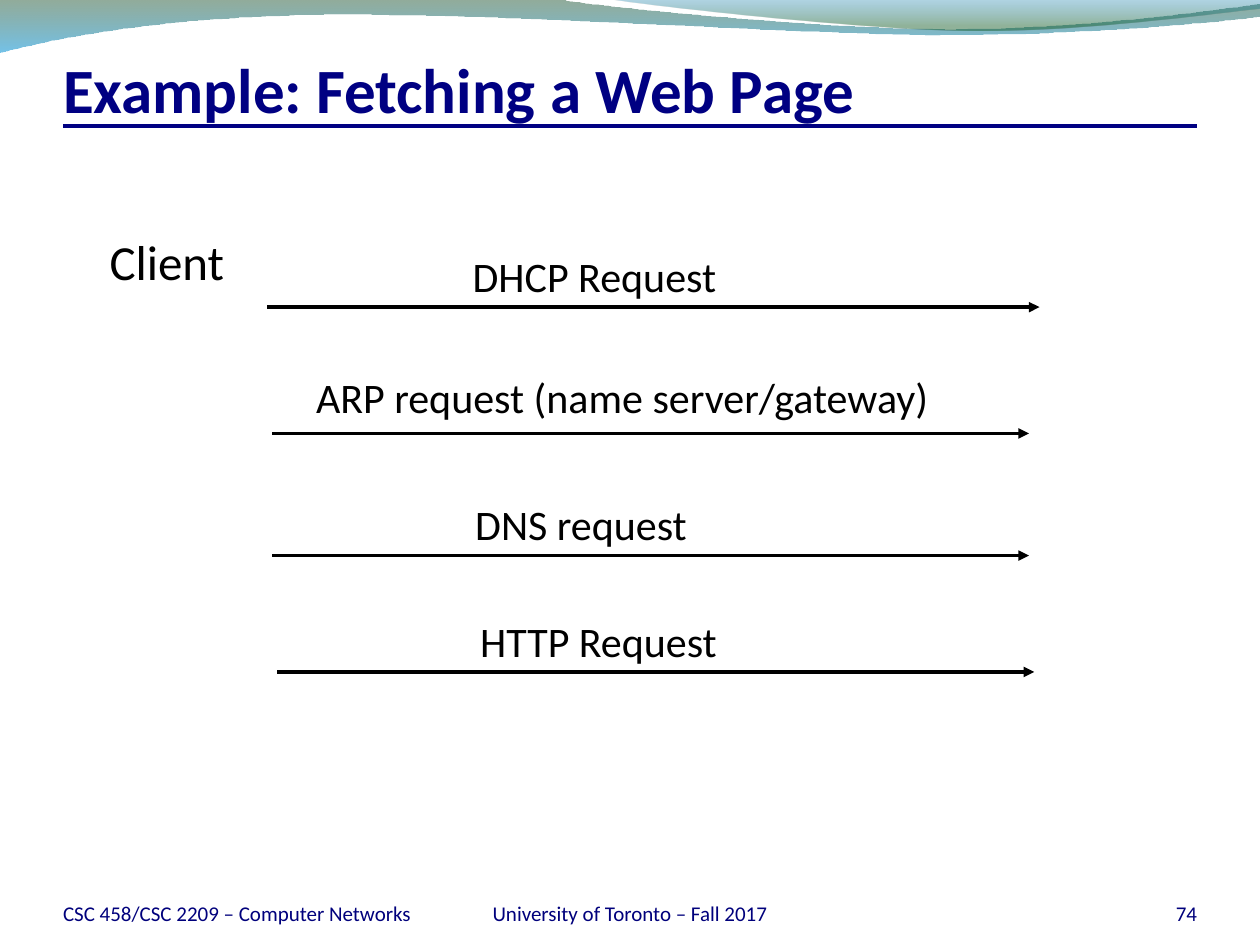
from lxml import etree
from pptx import Presentation
from pptx.dml.color import RGBColor
from pptx.enum.shapes import MSO_CONNECTOR
from pptx.enum.text import MSO_ANCHOR, PP_ALIGN
from pptx.oxml import parse_xml
from pptx.oxml.ns import nsdecls, qn
from pptx.util import Pt

LEFT, CENTER, RIGHT = PP_ALIGN.LEFT, PP_ALIGN.CENTER, PP_ALIGN.RIGHT
BOTTOM, TOP = MSO_ANCHOR.BOTTOM, MSO_ANCHOR.TOP
STRAIGHT = MSO_CONNECTOR.STRAIGHT
NAVY, FOOTER_BLUE, BLACK = "000082", "00007C", "000000"


def write(box, text, size, color, align=LEFT, anchor=TOP, bold=False):
    """Fill a text shape with one formatted run."""
    frame = box.text_frame
    frame.vertical_anchor = anchor
    para = frame.paragraphs[0]
    para.alignment = align
    span = para.add_run()
    span.text = text
    span.font.name = "Calibri"
    span.font.size = Pt(size)
    span.font.bold = bold
    span.font.color.rgb = RGBColor.from_string(color)
    return frame


def draw_line(x1, x2, y, color, width):
    """Draw a horizontal line without a shadow."""
    line = page.shapes.add_connector(STRAIGHT, Pt(x1), Pt(y), Pt(x2), Pt(y))
    line.line.color.rgb = RGBColor.from_string(color)
    line.line.width = Pt(width)
    etree.SubElement(line._element.spPr, qn("a:effectLst"))
    return line


deck = Presentation()
deck.slide_width, deck.slide_height = Pt(720), Pt(540)
page = deck.slides.add_slide(deck.slide_layouts[5])

# Header waves: a step of one point is straight, one of three a cubic curve.
# Gradient stops are position, colour and opacity in percent.
waves = [
    ((0, -0.7),
     [[(317, -0.7)],
      [(343, 4.3), (478, 16.6), (546, 16.6)],
      [(614, 16.6), (690, 6.5), (720, 2.2)],
      [(720.7, 9.4)],
      [(708, 11.5), (626, 20.2), (537, 20.2)],
      [(448, 19.4), (275, 7.2), (185, 8.6)],
      [(93, 9.4), (33, 21.6), (-0.7, 30.2)]],
     [(0, "0F461E", 45), (100, "0090D6", 55)]),
    ((345, -0.7),
     [[(366, 2.9), (491, 16.6), (554, 17.3)],
      [(616, 18), (692, 7.9), (720, 5)],
      [(720, -0.7)]],
     [(0, "0076AF", 30), (80, "0D5821", 45)]),
]
for (start_x, start_y), steps, stops in waves:
    outline = page.shapes.build_freeform(Pt(start_x), Pt(start_y))
    outline.add_line_segments([(Pt(x), Pt(y)) for step in steps for x, y in step])
    wave = outline.convert_to_shape()
    wave.shadow.inherit = False
    wave.line.fill.background()

    # Join each group of three straight segments into one curve
    segments = iter(list(wave._element.iter(qn("a:lnTo"))))
    for step in steps:
        group = [next(segments) for _ in step]
        if len(group) == 3:
            curve = parse_xml(f'<a:cubicBezTo {nsdecls("a")}/>')
            group[0].addprevious(curve)
            for segment in group:
                curve.append(segment[0])
                segment.getparent().remove(segment)

    stop_xml = "".join(
        f'<a:gs pos="{position * 1000}"><a:srgbClr val="{color}">'
        f'<a:alpha val="{opacity * 1000}"/></a:srgbClr></a:gs>'
        for position, color, opacity in stops)
    gradient = parse_xml(f'<a:gradFill {nsdecls("a")}><a:gsLst>{stop_xml}</a:gsLst>'
                         '<a:lin ang="5400000" scaled="0"/></a:gradFill>')
    wave._element.spPr.find(qn("a:custGeom")).addnext(gradient)

draw_line(36, 684, 72, NAVY, 2.25)

footers = [
    ("CSC 458/CSC 2209 – Computer Networks", 36, 204, LEFT),
    ("74", 624, 60, RIGHT),
    ("University of Toronto – Fall 2017", 246, 228, CENTER),
]
for text, left, width, align in footers:
    box = page.shapes.add_textbox(Pt(left), Pt(500.4), Pt(width), Pt(28.8))
    frame = write(box, text, 12, FOOTER_BLUE, align, BOTTOM)
    frame.word_wrap = True
    frame.margin_left = frame.margin_top = frame.margin_right = frame.margin_bottom = 0

title = page.shapes.title
title.left, title.top, title.width, title.height = Pt(36), Pt(24), Pt(648), Pt(48)
frame = write(title, "Example: Fetching a Web Page", 36, NAVY, LEFT, BOTTOM, True)
frame.margin_left = frame.margin_right = frame.margin_bottom = 0
frame.margin_top = Pt(3.6)

client = page.shapes.add_textbox(Pt(55.4), Pt(128.9), Pt(80), Pt(41))
write(client, "Client", 28, BLACK, CENTER).word_wrap = False

# Text, its left, top and width, then the arrow's start, end and height
requests = [
    ("DHCP Request", 263, 139.7, 154, 152.6, 594, 175.5),
    ("ARP request (name server/gateway)", 173.5, 208.8, 367, 155.5, 588, 247.7),
    ("DNS request", 264.5, 281.5, 136, 155.5, 588, 317.5),
    ("HTTP Request", 267.3, 348, 150.5, 158.4, 591, 384),
]
for text, left, top, width, arrow_start, arrow_end, arrow_y in requests:
    label = page.shapes.add_textbox(Pt(left), Pt(top), Pt(width), Pt(36))
    write(label, text, 24, BLACK).word_wrap = False
    arrow = draw_line(arrow_start, arrow_end, arrow_y, BLACK, 2)
    outline_xml = arrow._element.spPr.find(qn("a:ln"))
    etree.SubElement(outline_xml, qn("a:tailEnd"), type="triangle")

deck.save("out.pptx")
